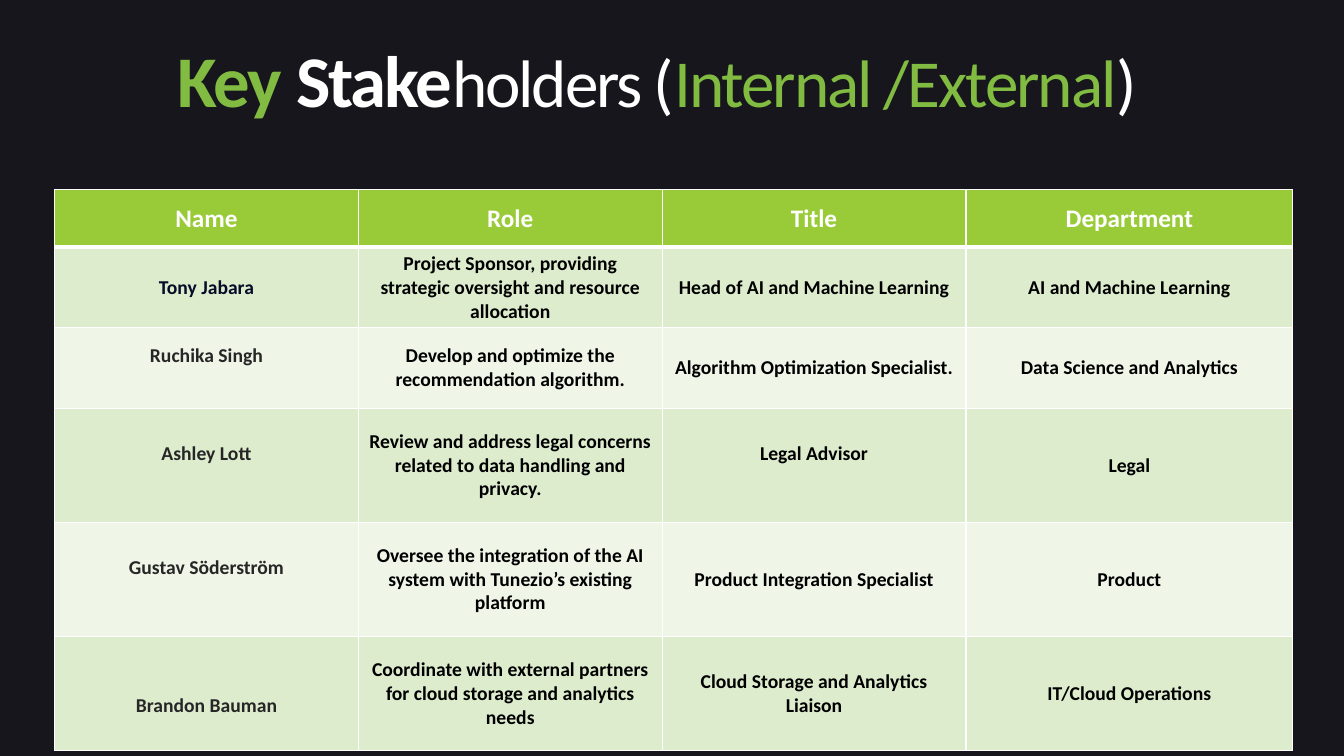
from lxml import etree
from pptx import Presentation
from pptx.dml.color import RGBColor
from pptx.enum.text import MSO_ANCHOR, PP_ALIGN
from pptx.oxml.ns import qn
from pptx.util import Pt

CENTER = PP_ALIGN.CENTER
MIDDLE = MSO_ANCHOR.MIDDLE
FONT = "Calibri"
WHITE, BLACK, GREEN = "FFFFFF", "000000", "81BB41"
HEAD_FILL = "99CB38"
BANDS = ("DEECCE", "EFF6E8")

TITLE = (
    ("Key ", 52, GREEN, True),
    ("Stake", 52, WHITE, True),
    ("holders (", 48, WHITE, False),
    ("Internal /External", 48, GREEN, False),
    (")", 48, WHITE, False),
)
HEADS = ("Name", "Role", "Title", "Department")
PEOPLE = (
    ("Tony Jabara",
     "Project Sponsor, providing strategic oversight and resource allocation",
     "Head of AI and Machine Learning", "AI and Machine Learning"),
    ("Ruchika Singh", "Develop and optimize the recommendation algorithm.",
     "Algorithm Optimization Specialist.", "Data Science and Analytics"),
    ("Ashley Lott",
     "Review and address legal concerns related to data handling and privacy.",
     "Legal Advisor", "Legal"),
    ("Gustav Söderström",
     "Oversee the integration of the AI system with Tunezio’s existing platform",
     "Product Integration Specialist", "Product"),
    ("Brandon Bauman",
     "Coordinate with external partners for cloud storage and analytics needs",
     "Cloud Storage and Analytics Liaison", "IT/Cloud Operations"),
)
WIDTHS = (217, 217, 217, 233.5)
HEIGHTS = (41, 57.5, 57.5, 81.5, 81.5, 81.5)
RAISED = {(2, 0), (3, 0), (3, 2), (4, 0)}
LOWERED = {(5, 0)}
LINE_GAP = 20.6


def color(code):
    """Turn a hex string into a colour."""
    return RGBColor.from_string(code)


def add_run(para, text, size, code, bold):
    """Add one styled run to a paragraph."""
    run = para.add_run()
    run.text = text
    font = run.font
    font.name, font.size, font.bold = FONT, Pt(size), bold
    font.color.rgb = color(code)
    return run


def add_title(slide):
    """Add the two-tone heading with tight letters."""
    box = slide.shapes.add_textbox(Pt(119.5), Pt(21), Pt(775), Pt(70.5))
    box.text_frame.word_wrap = True
    para = box.text_frame.paragraphs[0]
    for part in TITLE:
        run = add_run(para, *part)
        run.font._element.set("spc", "-150")


def add_edges(cell, row):
    """Draw white cell borders, heavy under the header."""
    props = cell._tc.get_or_add_tcPr()
    heavy = {0: "lnB", 1: "lnT"}.get(row)
    for side in ("lnL", "lnR", "lnT", "lnB"):
        width = Pt(3 if side == heavy else 1)
        line = etree.SubElement(props, qn("a:" + side), w=str(width))
        fill = etree.SubElement(line, qn("a:solidFill"))
        etree.SubElement(fill, qn("a:srgbClr"), val=WHITE)


def text_color(row, col):
    """Choose the text colour for a table place."""
    if row == 0:
        return WHITE
    if col > 0:
        return BLACK
    return "040C28" if row == 1 else "262626"


def fill_cell(cell, text, row, col):
    """Style one cell and write its text."""
    add_edges(cell, row)
    cell.fill.solid()
    cell.fill.fore_color.rgb = color(BANDS[(row - 1) % 2] if row else HEAD_FILL)
    cell.vertical_anchor = MIDDLE
    if (row, col) in RAISED:
        cell.margin_bottom = Pt(LINE_GAP)
    if (row, col) in LOWERED:
        cell.margin_top = Pt(LINE_GAP)
    para = cell.text_frame.paragraphs[0]
    para.alignment = CENTER
    add_run(para, text, 14 if row else 18, text_color(row, col), True)


def add_grid(slide):
    """Add the table of stakeholders."""
    rows = (HEADS,) + PEOPLE
    frame = slide.shapes.add_table(len(rows), len(HEADS), Pt(39), Pt(135.5),
                                   Pt(sum(WIDTHS)), Pt(sum(HEIGHTS)))
    table = frame.table
    for col, width in enumerate(WIDTHS):
        table.columns[col].width = Pt(width)
    for row, texts in enumerate(rows):
        table.rows[row].height = Pt(HEIGHTS[row])
        for col, text in enumerate(texts):
            fill_cell(table.cell(row, col), text, row, col)


def main():
    """Build and save the slide."""
    deck = Presentation()
    deck.slide_width, deck.slide_height = Pt(960), Pt(540)
    slide = deck.slides.add_slide(deck.slide_layouts[6])
    slide.background.fill.solid()
    slide.background.fill.fore_color.rgb = color("16161C")
    add_title(slide)
    add_grid(slide)
    deck.save("out.pptx")


if __name__ == "__main__":
    main()
